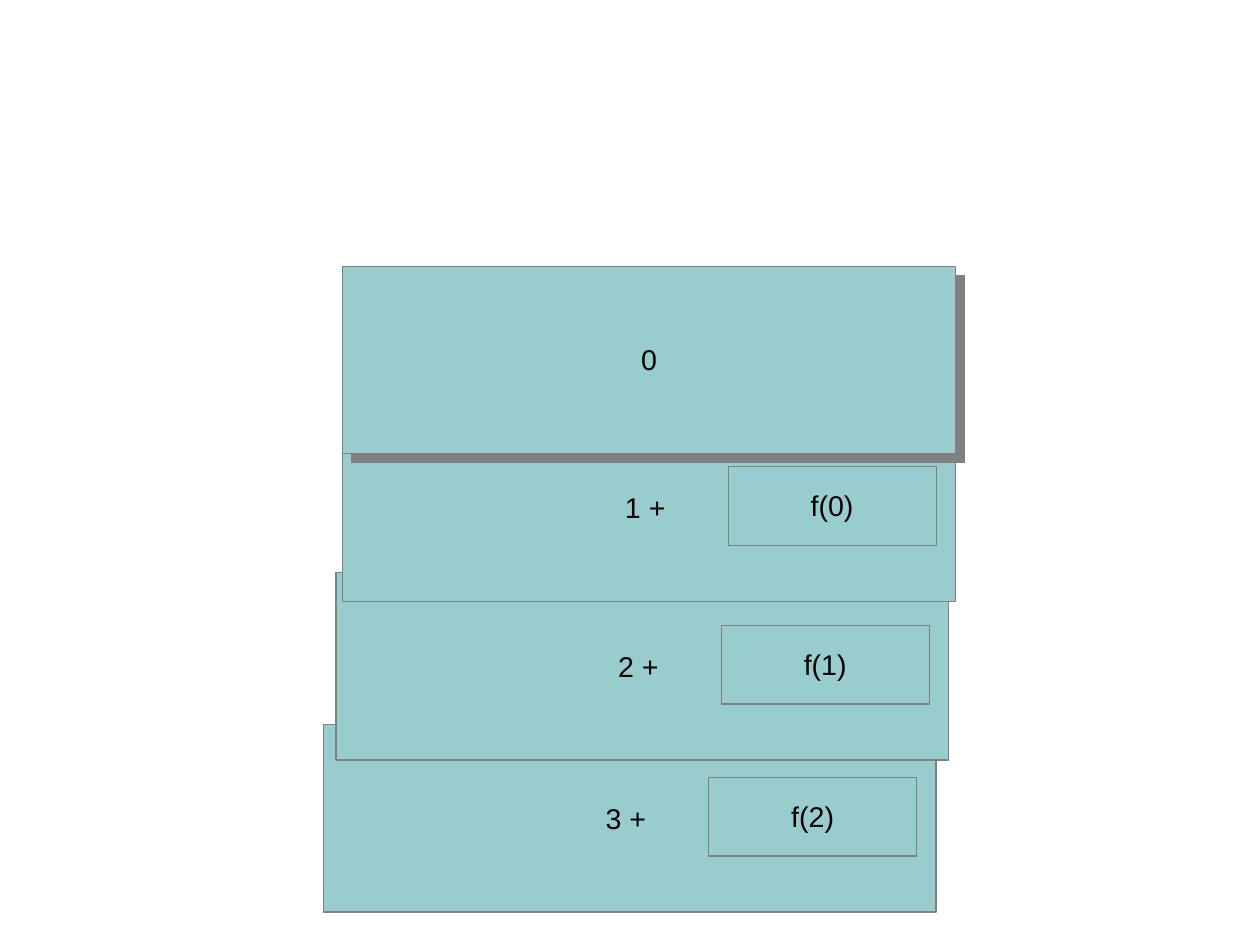
from lxml import etree
from pptx import Presentation
from pptx import util as u
from pptx.dml.color import RGBColor
from pptx.enum import shapes, text
from pptx.oxml.ns import qn

TEAL, GRAY, BLACK = "99CCCC", "808080", "000000"
WIDTH, HEIGHT = 5.36, 1.64


def color(code):
    return RGBColor.from_string(code)


def add_box(group, label, left, top, width, height):
    box = group.shapes.add_shape(
        shapes.MSO_SHAPE.RECTANGLE,
        u.Inches(left), u.Inches(top), u.Inches(width), u.Inches(height))
    box.shadow.inherit = False
    box.fill.solid()
    box.fill.fore_color.rgb = color(TEAL)
    box.line.color.rgb = color(GRAY)
    box.line.width = u.Pt(0.75)
    frame = box.text_frame
    frame.word_wrap = False
    frame.vertical_anchor = text.MSO_ANCHOR.MIDDLE
    frame.margin_left = frame.margin_right = u.Inches(0.1)
    frame.margin_top, frame.margin_bottom = u.Inches(0.07), u.Inches(0.05)
    para = frame.paragraphs[0]
    para.alignment = text.PP_ALIGN.CENTER
    para.line_spacing = 0.93
    run = para.add_run()
    run.text = label
    run.font.name = "Arial"
    run.font.size = u.Pt(18)
    run.font.color.rgb = color(BLACK)
    return box


def add_shadow(box):
    effects = box._element.spPr.find(qn("a:effectLst"))
    shadow = etree.SubElement(
        effects, qn("a:outerShdw"), blurRad="0", dist=str(u.Pt(8)),
        dir=str(45 * 60000), algn="tl", rotWithShape="0")
    etree.SubElement(shadow, qn("a:srgbClr"), val=GRAY)


def add_call(slide, left, top, num):
    group = slide.shapes.add_group_shape()
    label = f"{num} + " if num else "0"
    frame = add_box(group, label, left, top, WIDTH, HEIGHT)
    if num:
        add_box(group, f"f({num - 1})", left + 3.37, top + 0.46, 1.82, 0.69)
    else:
        add_shadow(frame)


def main():
    deck = Presentation()
    deck.slide_width = u.Inches(28 / 2.54)
    deck.slide_height = u.Inches(21 / 2.54)
    slide = deck.slides.add_slide(deck.slide_layouts[6])
    stack = [(2.83, 6.34, 3), (2.94, 5.01, 2), (3, 3.62, 1), (3, 2.33, 0)]
    for left, top, num in stack:
        add_call(slide, left, top, num)
    deck.save("out.pptx")


if __name__ == "__main__":
    main()
